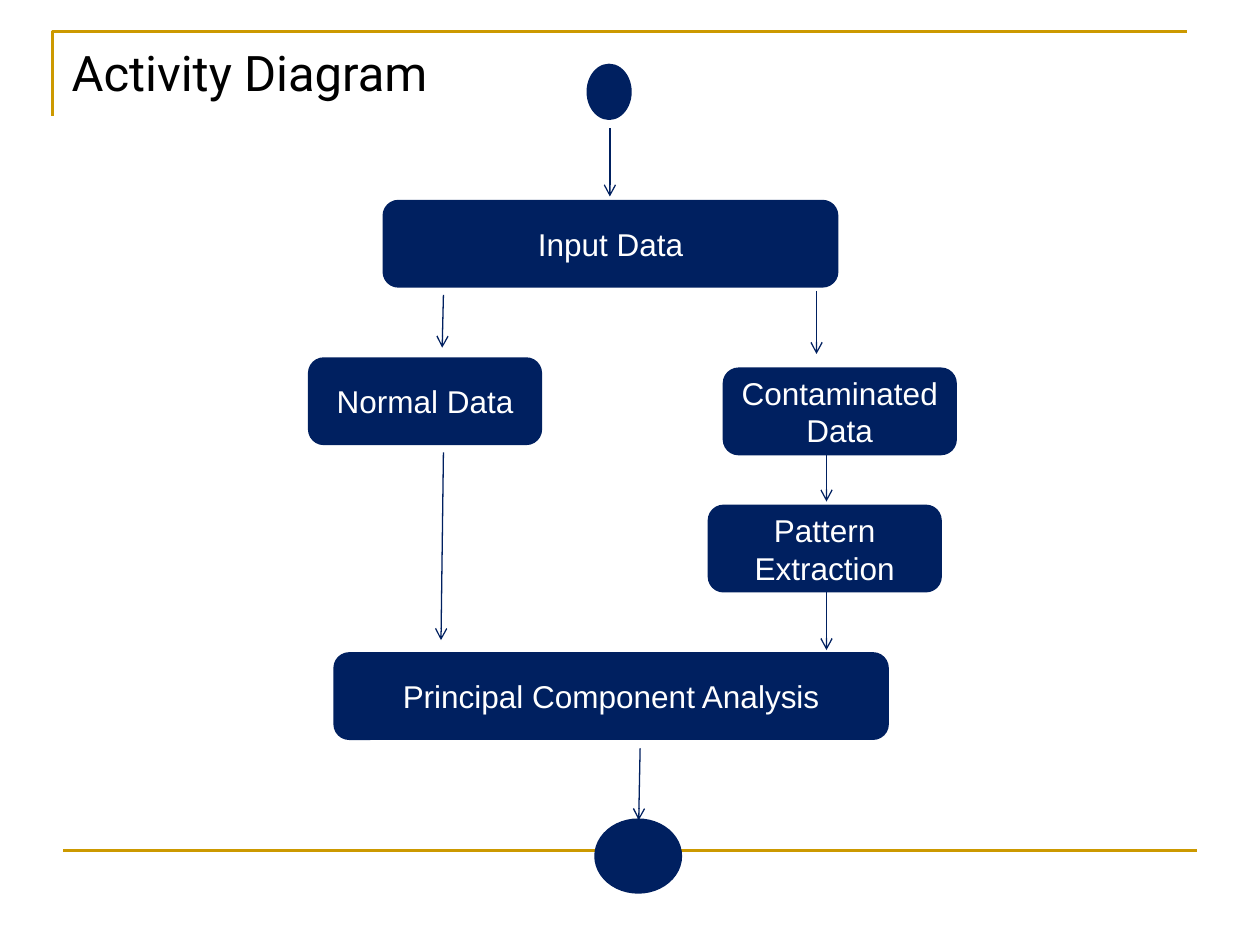
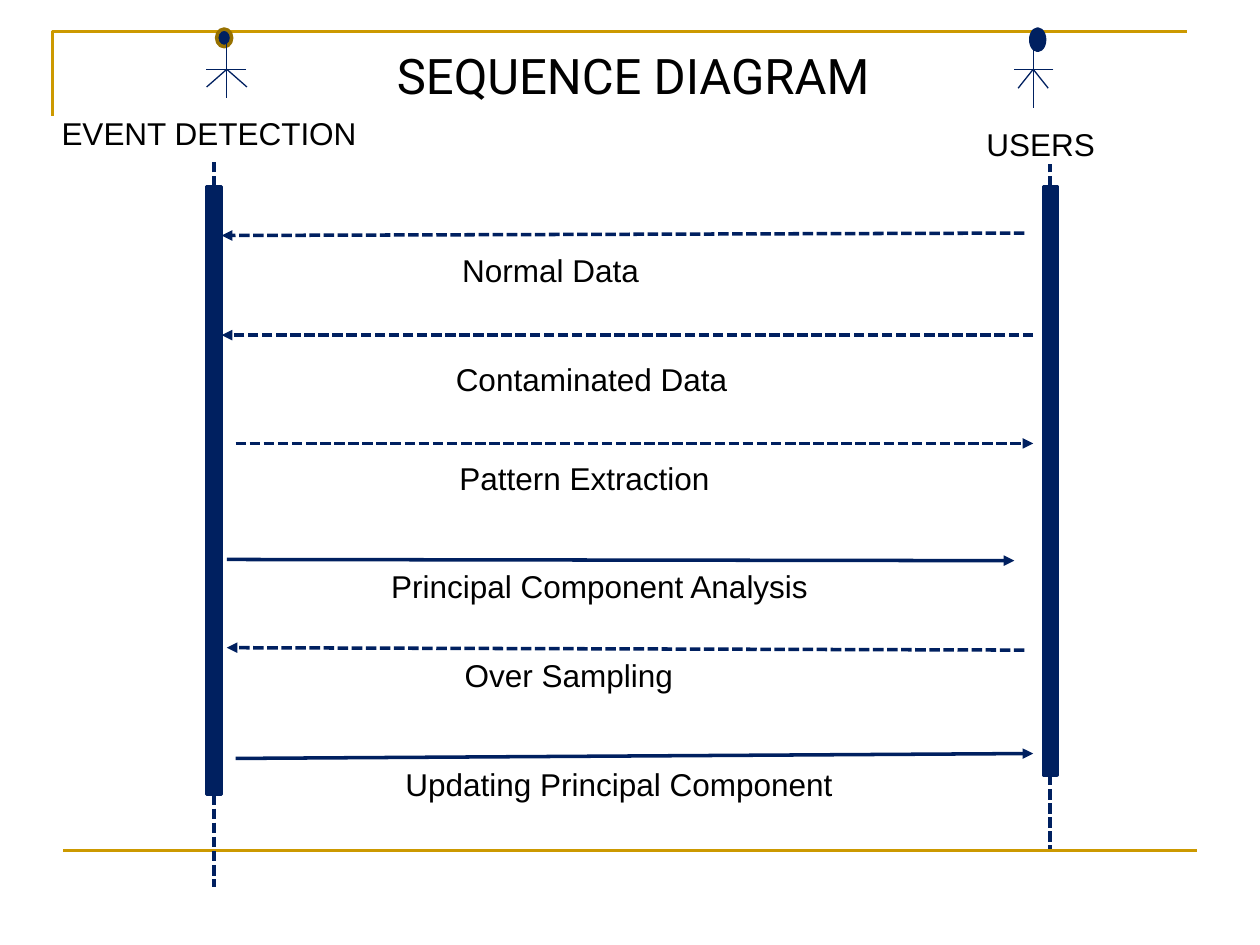
from collections import namedtuple

from lxml.etree import SubElement
from pptx import Presentation
from pptx.dml.color import RGBColor
from pptx.enum.dml import MSO_LINE_DASH_STYLE as Dash
from pptx.enum.shapes import MSO_CONNECTOR as Connector
from pptx.enum.shapes import MSO_SHAPE as Preset
from pptx.enum.text import MSO_ANCHOR as Anchor
from pptx.enum.text import MSO_AUTO_SIZE as AutoSize
from pptx.enum.text import PP_ALIGN as Align
from pptx.oxml.ns import qn
from pptx.util import Pt

NAVY = RGBColor(0x00, 0x20, 0x60)
GOLD = RGBColor(0xCC, 0x99, 0x00)
DARK_GOLD = RGBColor(0x97, 0x71, 0x00)
WHITE = RGBColor(0xFF, 0xFF, 0xFF)
BLACK = RGBColor(0x00, 0x00, 0x00)

BODY_FONT = {"name": "Arial", "size": Pt(18)}
TITLE_FONT = {"name": "Roboto", "size": Pt(28)}
FRAME_ID = 101
NODE_HEIGHT = 48.2

Box = namedtuple("Box", "left top width height")


def apply_format(target, formats):
    for name, value in formats.items():
        setattr(target, name, value)


def within(box, left, top, width, height):
    return Box(box.left + left, box.top + top, width, height)


def to_points(box):
    return [Pt(value) for value in box]


def write(frame, text, font, color, align=Align.LEFT, **frame_formats):
    apply_format(frame, {"word_wrap": True, "auto_size": AutoSize.NONE, **frame_formats})
    para = frame.paragraphs[0]
    para.alignment = align
    span = para.add_run()
    span.text = text
    apply_format(span.font, font)
    span.font.color.rgb = color


def add_label(page, box, text):
    frame = page.shapes.add_textbox(*to_points(box)).text_frame
    write(frame, text, BODY_FONT, BLACK)


def add_solid(page, preset, box, outline=NAVY):
    shape = page.shapes.add_shape(preset, *to_points(box))
    shape.shadow.inherit = False
    shape.fill.solid()
    shape.fill.fore_color.rgb = NAVY
    shape.line.color.rgb = outline
    shape.line.width = Pt(2)
    return shape


def add_line(page, start, end, color=NAVY, width=0.75, dashed=False, arrow=None):
    line = page.shapes.add_connector(
        Connector.STRAIGHT, *to_points(start), *to_points(end))
    line.line.color.rgb = color
    line.line.width = Pt(width)
    if dashed:
        line.line.dash_style = Dash.SQUARE_DOT
    properties = line.element.spPr
    if arrow:
        SubElement(properties.find(qn("a:ln")), qn("a:tailEnd"), type=arrow)
    SubElement(properties, qn("a:effectLst"))
    return line


def add_master_frame(deck, page):
    builder = page.shapes.build_freeform(Pt(30.2), Pt(66.2))
    builder.add_line_segments(
        [(Pt(30.2), Pt(18)), (Pt(678.2), Pt(18))], close=False)
    corner = builder.convert_to_shape()
    corner.shadow.inherit = False
    corner.fill.background()
    corner.line.color.rgb = GOLD
    corner.line.width = Pt(1.5)
    footer_line = add_line(page, (36, 486), (684, 486), GOLD, 1.5)
    for number, shape in enumerate((corner, footer_line), FRAME_ID):
        shape.element.xpath(".//p:cNvPr")[0].set("id", str(number))
        deck.slide_master.shapes.element.append(shape.element)


def add_title(page, box, text):
    title = page.shapes.title
    places = dict(zip(("left", "top", "width", "height"), to_points(box)))
    apply_format(title, places)
    write(title.text_frame, text, TITLE_FONT, BLACK, vertical_anchor=Anchor.TOP)


def add_activity_flow(page, box):
    terminals = [(159.2, 0.4, 23.8, 30.2), (163.6, 431.7, 48.2, 41)]
    nodes = [
        ("Input Data", 42.6, 78.2, 258.5),
        ("Normal Data", 0, 168.2, 131.8),
        ("Contaminated Data", 237, 174, 131.8),
        ("Pattern Extraction", 228.4, 252.4, 131.8),
        ("Principal Component Analysis", 14.5, 336.7, 315.4),
    ]
    arrows = [
        (171.5, 36.4, 171.5, 75.3),
        (76.4, 131.5, 75.7, 161.7),
        (289.6, 129.3, 289.6, 165.3),
        (76.4, 221.5, 75, 328.8),
        (295.3, 221.5, 295.3, 249.6),
        (295.3, 300.7, 295.3, 334.5),
        (188.8, 390.7, 188, 431.7),
    ]
    for terminal in terminals:
        add_solid(page, Preset.FLOWCHART_CONNECTOR, within(box, *terminal))
    for text, left, top, width in nodes:
        place = within(box, left, top, width, NODE_HEIGHT)
        node = add_solid(page, Preset.ROUNDED_RECTANGLE, place)
        write(node.text_frame, text, BODY_FONT, WHITE, Align.CENTER,
              vertical_anchor=Anchor.MIDDLE, margin_left=Pt(5), margin_right=Pt(5))
    for x1, y1, x2, y2 in arrows:
        add_line(page, (box.left + x1, box.top + y1),
                 (box.left + x2, box.top + y2), arrow="arrow")


def add_lifeline(page, bar, above, below):
    add_solid(page, Preset.RECTANGLE, bar)
    center = bar.left + bar.width / 2
    bottom = bar.top + bar.height
    for start, end in ((bar.top, bar.top - above), (bottom, bottom + below)):
        add_line(page, (center, start), (center, end), width=2, dashed=True)


def add_actor(page, box, preset, head, outline, center, neck, spread, drop):
    middle = box.left + center
    shoulder = box.top + 23
    add_solid(page, preset, within(box, *head), outline)
    add_line(page, (middle, box.top + neck), (middle, box.top + box.height))
    add_line(page, (box.left + box.width, shoulder), (box.left, shoulder))
    for side in (-spread, spread):
        add_line(page, (middle, shoulder), (middle + side, shoulder + drop))


def add_messages(page, box):
    messages = [
        ("Normal Data", (459.4, 27.2, 0.7, 28.6), True, (131, 33.7, 185)),
        ("Contaminated Data", (464.4, 85.5, 0.7, 85.5), True, (127.4, 96.3, 185)),
        ("Pattern Extraction", (8.6, 147.4, 464.4, 147.4), True, (129.4, 152.5, 185)),
        ("Principal Component Analysis", (3.6, 213.7, 453.6, 214.4), False,
         (90.5, 214.4, 280)),
        ("Over Sampling", (459.4, 265.5, 3.6, 264.1), True, (132.5, 265.5, 185)),
        ("Updating Principal Component", (8.6, 327.4, 464.4, 324.6), False,
         (98.6, 327.4, 280)),
    ]
    for text, (x1, y1, x2, y2), dashed, label in messages:
        add_line(page, (box.left + x1, box.top + y1), (box.left + x2, box.top + y2),
                 width=2, dashed=dashed, arrow="triangle")
        add_label(page, within(box, *label, 28.8), text)


def build_activity_slide(page):
    add_title(page, Box(33.8, 20.9, 292.3, 41), "Activity Diagram")
    add_activity_flow(page, Box(177, 37, 368.8, 472.7))


def build_sequence_slide(page):
    add_title(page, Box(219.6, 22.3, 315.4, 41), "SEQUENCE DIAGRAM")
    add_lifeline(page, Box(118.1, 106.6, 8.6, 347.4), 14.4, 52.6)
    add_lifeline(page, Box(596.2, 106.6, 7.9, 336.2), 13, 42.5)
    add_actor(page, Box(118, 16.6, 22.6, 39.6), Preset.OVAL, (5.8, 0, 8.6, 10.1),
              DARK_GOLD, center=11.6, neck=5.7, spread=11.5, drop=10.1)
    add_actor(page, Box(579.6, 16.6, 22.3, 45.3), Preset.FLOWCHART_CONNECTOR,
              (9.4, 0, 7.9, 12.2), NAVY, center=10.8, neck=11.5, spread=8.6, drop=10.8)
    add_label(page, Box(28.1, 61.9, 213.8, 28.8), "EVENT DETECTION")
    add_label(page, Box(556.6, 67.7, 79.9, 28.8), "USERS")
    add_messages(page, Box(126, 106, 464.4, 356))


def main():
    deck = Presentation()
    deck.slide_width, deck.slide_height = Pt(720), Pt(540)
    title_only = deck.slide_layouts[5]
    activity = deck.slides.add_slide(title_only)
    add_master_frame(deck, activity)
    build_activity_slide(activity)
    build_sequence_slide(deck.slides.add_slide(title_only))
    deck.save("out.pptx")


if __name__ == "__main__":
    main()
